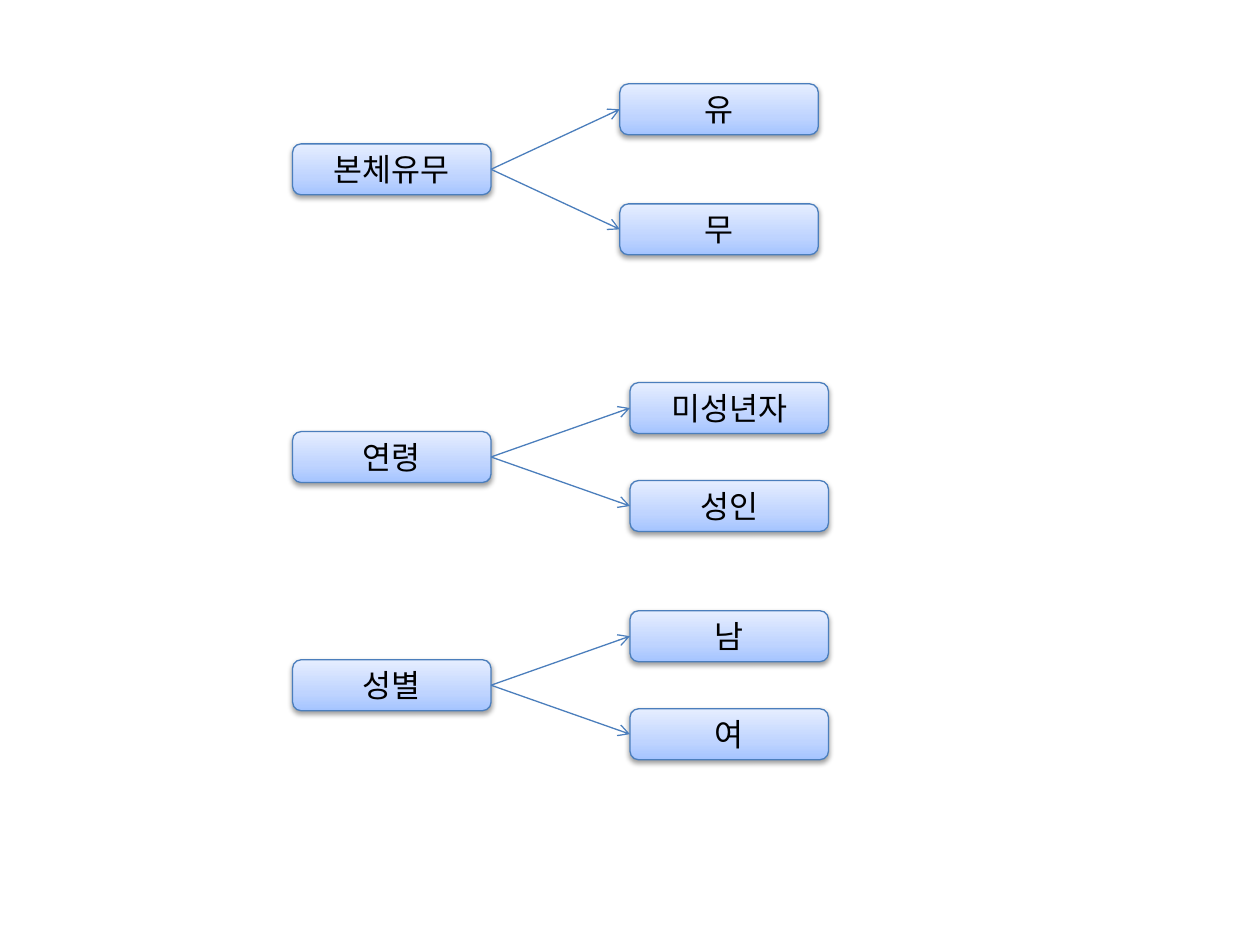
from copy import deepcopy

from lxml.etree import SubElement
from pptx import Presentation
from pptx.dml.color import RGBColor
from pptx.enum.shapes import MSO_CONNECTOR, MSO_SHAPE
from pptx.enum.text import MSO_ANCHOR, PP_ALIGN
from pptx.oxml.ns import qn
from pptx.util import Pt

BOX_WIDTH, BOX_HEIGHT = 113.4, 29.1
OUTLINE = "4B7EBC"
GRADIENT = [(0, "A4C4FF"), (0.35, "BFD4FF"), (1, "E6EEFF")]
FONT = {"name": "Noto Sans CJK KR", "size": Pt(18)}
FRAME = {"word_wrap": True, "vertical_anchor": MSO_ANCHOR.MIDDLE,
         "margin_top": 0, "margin_bottom": 0}


def color(hex_value):
    return RGBColor.from_string(hex_value)


def apply(target, values):
    for name, value in values.items():
        setattr(target, name, value)


def style_line(line):
    line.color.rgb = color(OUTLINE)
    line.width = Pt(0.75)


def fill_gradient(fill):
    fill.gradient()
    fill.gradient_angle = 90
    stops = fill._fill._gradFill.find(qn("a:gsLst"))
    stops.insert(1, deepcopy(stops[0]))
    for stop, (position, shade) in zip(fill.gradient_stops, GRADIENT):
        stop.position = position
        stop.color.rgb = color(shade)


def add_shadow(node):
    node.shadow.inherit = False
    effects = node._element.spPr.find(qn("a:effectLst"))
    shadow = SubElement(effects, qn("a:outerShdw"), blurRad=str(Pt(3.1)),
                        dist=str(Pt(1.6)), dir="5400000", rotWithShape="0")
    shade = SubElement(shadow, qn("a:srgbClr"), val="000000")
    SubElement(shade, qn("a:alpha"), val="38000")


def add_node(slide, label, left, top):
    node = slide.shapes.add_shape(MSO_SHAPE.ROUNDED_RECTANGLE, Pt(left), Pt(top),
                                  Pt(BOX_WIDTH), Pt(BOX_HEIGHT))
    fill_gradient(node.fill)
    style_line(node.line)
    add_shadow(node)
    apply(node.text_frame, FRAME)
    paragraph = node.text_frame.paragraphs[0]
    paragraph.alignment = PP_ALIGN.CENTER
    run = paragraph.add_run()
    run.text = label
    apply(run.font, FONT)
    run.font.color.rgb = color("000000")
    return node


def add_arrow(slide, factor, level):
    arrow = slide.shapes.add_connector(MSO_CONNECTOR.STRAIGHT, 0, 0, 0, 0)
    arrow.begin_connect(factor, 3)  # right side
    arrow.end_connect(level, 1)  # left side
    style_line(arrow.line)
    SubElement(arrow.line._get_or_add_ln(), qn("a:tailEnd"), type="arrow")
    SubElement(arrow._element.spPr, qn("a:effectLst"))


def add_branch(slide, left, top, factor_label, level_labels, level_offset, spread):
    """Place a factor with one level above it and one below it."""
    factor = add_node(slide, factor_label, left, top)
    for label, shift in zip(level_labels, (-spread, spread)):
        level = add_node(slide, label, left + level_offset, top + shift)
        add_arrow(slide, factor, level)


presentation = Presentation()
presentation.slide_width, presentation.slide_height = Pt(720), Pt(540)
slide = presentation.slides.add_slide(presentation.slide_layouts[6])

# Top, factor, levels, level offset, vertical spread
branches = [
    (82.2, "본체유무", ("유", "무"), 187, 34.3),
    (246.6, "연령", ("미성년자", "성인"), 192.8, 28),
    (377, "성별", ("남", "여"), 192.8, 28),
]
for top, *branch in branches:
    add_branch(slide, 167.2, top, *branch)

presentation.save("out.pptx")
